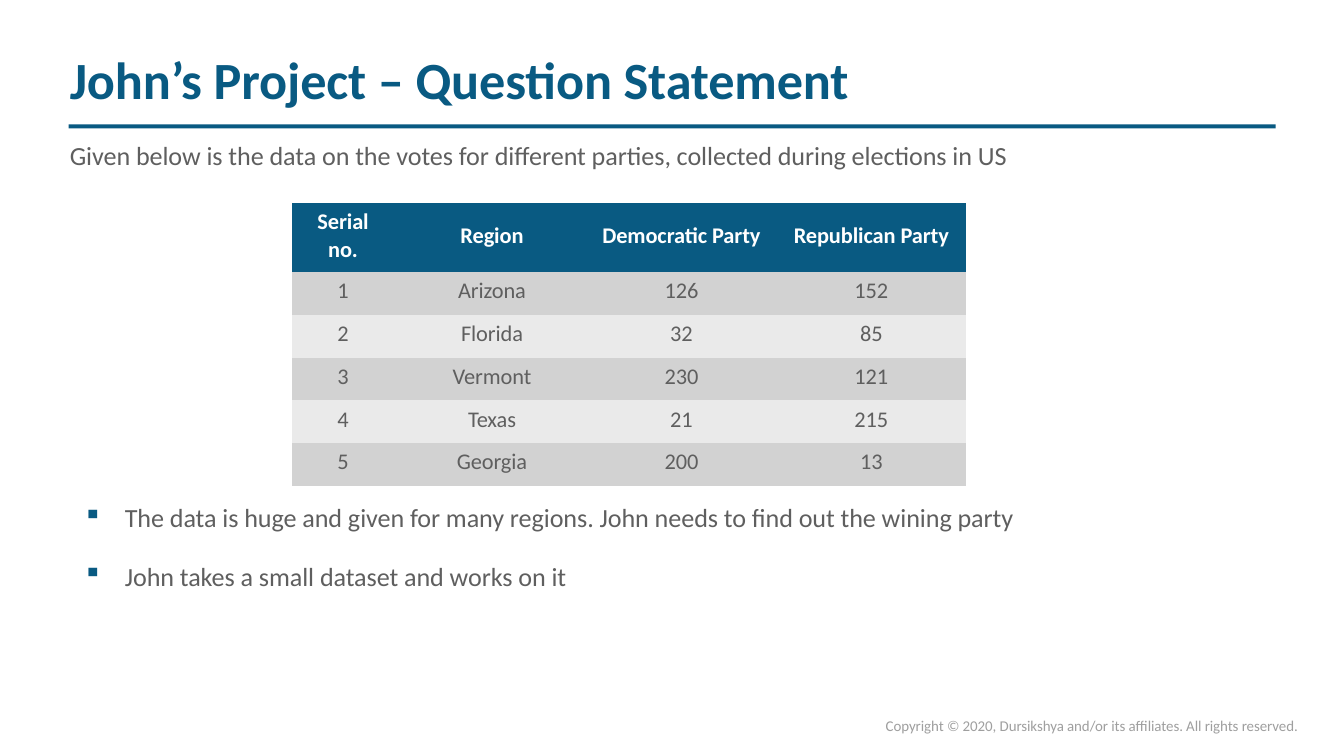
from lxml import etree
from pptx import Presentation
from pptx.dml.color import RGBColor
from pptx.enum.shapes import MSO_SHAPE
from pptx.enum.text import MSO_ANCHOR, PP_ALIGN
from pptx.oxml.ns import qn
from pptx.util import Cm, Pt

BLUE = RGBColor(0x09, 0x5A, 0x82)
GREY = RGBColor(0x5F, 0x5F, 0x5F)
PALE_GREY = RGBColor(0x9F, 0x9F, 0x9F)
WHITE = RGBColor(0xFF, 0xFF, 0xFF)
BANDS = (RGBColor(0xD2, 0xD2, 0xD2), RGBColor(0xEA, 0xEA, 0xEA))
RECTANGLE = MSO_SHAPE.RECTANGLE
CENTER = PP_ALIGN.CENTER
LEFT = PP_ALIGN.LEFT
TOP = MSO_ANCHOR.TOP
PLAIN_TABLE = "{2D5ABB26-0587-4C30-8999-92F81FD0307C}"

COLUMN_WIDTHS = (2.26, 2.95, 3.96, 3.58)
COLUMN_MARGINS = ((0, 0.31), (0.11, 0), (0.36, 0), (0, 0))
HEADER_HEIGHT, ROW_HEIGHT = 1.3, 0.81
HEADERS = ("Serial\nno.", "Region", "Democratic Party", "Republican Party")
VOTES = (
    ("Arizona", 126, 152),
    ("Florida", 32, 85),
    ("Vermont", 230, 121),
    ("Texas", 21, 215),
    ("Georgia", 200, 13),
)
FINDINGS = (
    "The data is huge and given for many regions. John needs to find out the wining party",
    "John takes a small dataset and works on it",
)


class SlideBuilder:
    """Holds the text style and the slide being filled."""

    font_name = "Calibri"
    letter_spacing = "-5"

    def __init__(self, slide):
        self.slide = slide

    def add_run(self, paragraph, text, size, color, bold=False):
        run = paragraph.add_run()
        run.text = text
        run.font.name = self.font_name
        run.font.size = Pt(size)
        run.font.bold = bold
        run.font.color.rgb = color
        run.font._element.set("spc", self.letter_spacing)

    def add_bullet(self, paragraph):
        properties = paragraph._p.get_or_add_pPr()
        properties.set("marL", str(Cm(0.84)))
        properties.set("indent", str(Cm(-0.79)))
        color = etree.SubElement(properties, qn("a:buClr"))
        etree.SubElement(color, qn("a:srgbClr"), val=str(BLUE))
        etree.SubElement(properties, qn("a:buChar"), char="▪")

    def fill_frame(self, frame, lines, size, color, bold=False, align=LEFT, bullets=False, gap=0):
        for index, line in enumerate(lines):
            paragraph = frame.add_paragraph() if index else frame.paragraphs[0]
            paragraph.alignment = align
            if index and gap:
                paragraph.space_before = Pt(gap)
            if bullets:
                self.add_bullet(paragraph)
            self.add_run(paragraph, line, size, color, bold)

    def add_text(self, box, lines, size, color, inset=0.06, **style):
        shape = self.slide.shapes.add_textbox(*map(Cm, box))
        frame = shape.text_frame
        frame.word_wrap = True
        frame.margin_left = frame.margin_right = frame.margin_bottom = 0
        frame.margin_top = Cm(inset)
        self.fill_frame(frame, lines, size, color, **style)

    def add_bar(self, box, color):
        shape = self.slide.shapes.add_shape(RECTANGLE, *map(Cm, box))
        shape.shadow.inherit = False
        shape.fill.solid()
        shape.fill.fore_color.rgb = color
        shape.line.fill.background()

    def add_cell(self, cell, text, margins, top, fill, color, bold):
        cell.fill.solid()
        cell.fill.fore_color.rgb = fill
        cell.vertical_anchor = TOP
        cell.margin_left, cell.margin_right = map(Cm, margins)
        cell.margin_top, cell.margin_bottom = Cm(top), 0
        self.fill_frame(cell.text_frame, text.split("\n"), 12, color, bold, CENTER)

    def add_vote_table(self, left, top):
        height = HEADER_HEIGHT + ROW_HEIGHT * len(VOTES)
        box = map(Cm, (left, top, sum(COLUMN_WIDTHS), height))
        table = self.slide.shapes.add_table(len(VOTES) + 1, len(HEADERS), *box).table
        table._tbl.tblPr.find(qn("a:tableStyleId")).text = PLAIN_TABLE
        table.first_row = table.horz_banding = False
        for column, width in zip(table.columns, COLUMN_WIDTHS):
            column.width = Cm(width)
        records = [HEADERS] + [(number, *vote) for number, vote in enumerate(VOTES, 1)]
        for row_index, record in enumerate(records):
            header = row_index == 0
            table.rows[row_index].height = Cm(HEADER_HEIGHT if header else ROW_HEIGHT)
            fill = BLUE if header else BANDS[(row_index - 1) % 2]
            color = WHITE if header else GREY
            for column_index, value in enumerate(record):
                cell_top = 0.36 if header and column_index else 0.1
                self.add_cell(table.cell(row_index, column_index), str(value),
                              COLUMN_MARGINS[column_index], cell_top, fill, color, header)


def main():
    presentation = Presentation()
    presentation.slide_width, presentation.slide_height = Cm(25.4), Cm(14.29)
    slide = presentation.slides.add_slide(presentation.slide_layouts[6])
    builder = SlideBuilder(slide)
    builder.add_bar((1.3, 2.35, 22.81, 0.08), BLUE)
    builder.add_text((1.32, 2.57, 18, 0.66),
                     ["Given below is the data on the votes for different parties, "
                      "collected during elections in US"], 14, GREY)
    builder.add_text((16.74, 13.55, 8.2, 0.36),
                     ["Copyright © 2020, Dursikshya and/or its affiliates. All rights reserved."],
                     8, PALE_GREY, inset=0)
    builder.add_text((1.32, 0.84, 15.2, 1.24), ["John’s Project – Question Statement"],
                     28, BLUE, bold=True)
    builder.add_vote_table(5.51, 3.84)
    builder.add_text((1.52, 9.42, 18, 1.78), FINDINGS, 14, GREY, bullets=True, gap=14.5)
    presentation.save("out.pptx")


if __name__ == "__main__":
    main()
